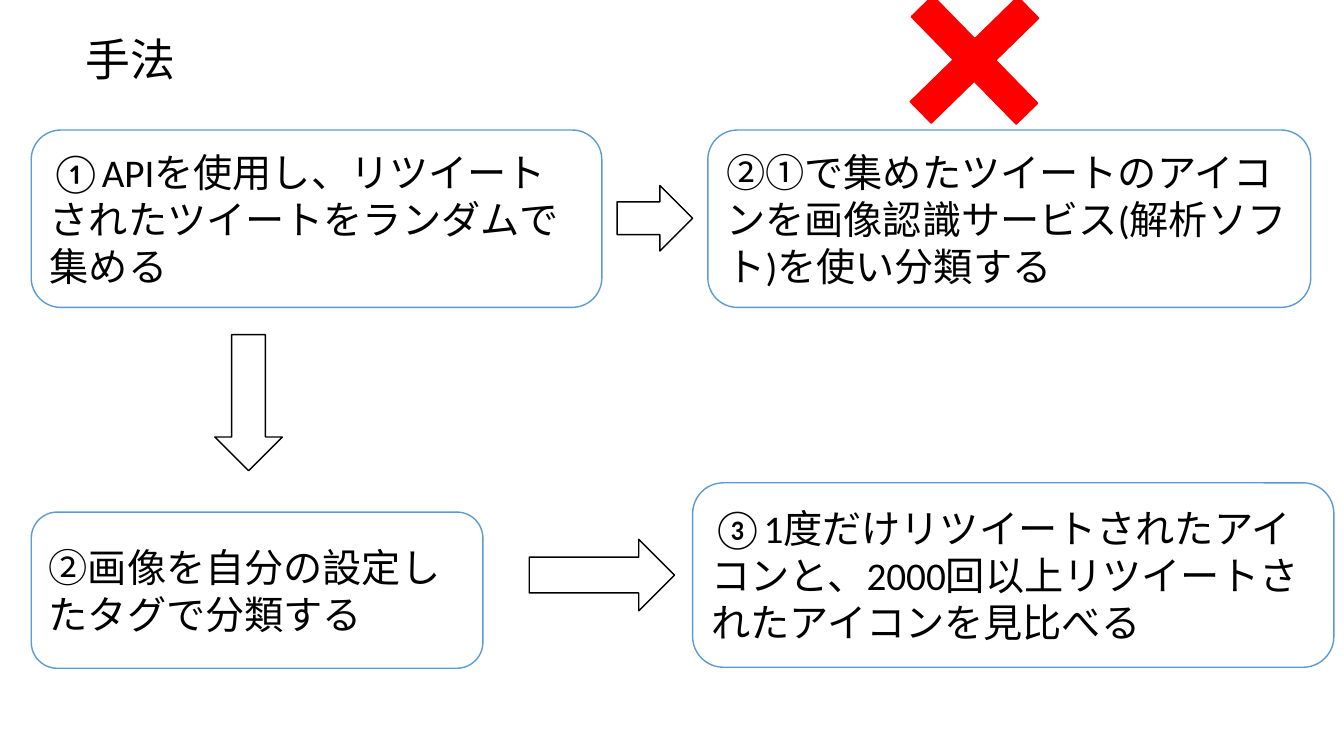
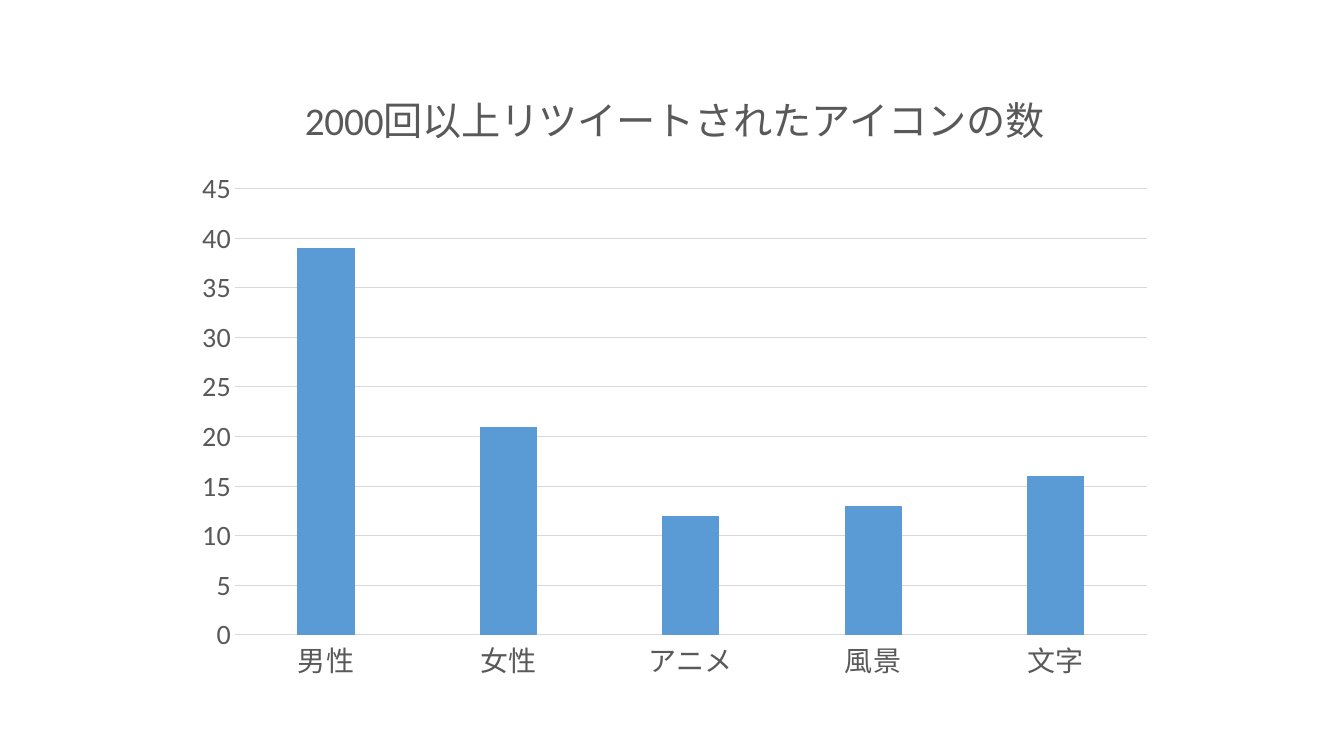
from pptx import Presentation
from pptx.chart.data import CategoryChartData
from pptx.dml.color import RGBColor
from pptx.enum import chart as charts, shapes, text
from pptx.util import Inches, Pt

COLORS = {
    "white": "FFFFFF",
    "black": "000000",
    "blue": "5B9BD5",
    "red": "FF0000",
    "gray": "595959",
    "grid": "D9D9D9",
}
FONT = "Calibri"


def style_font(font, size, color):
    font.name = FONT
    font.size = Pt(size)
    font.color.rgb = RGBColor.from_string(COLORS[color])


def add_figure(page, kind, bounds, fill, line):
    figure = page.shapes.add_shape(kind, *map(Inches, bounds))
    figure.shadow.inherit = False
    figure.fill.solid()
    figure.fill.fore_color.rgb = RGBColor.from_string(COLORS[fill])
    figure.line.color.rgb = RGBColor.from_string(COLORS[line])
    figure.line.width = Pt(1)
    return figure


deck = Presentation()
deck.slide_width = Inches(13.33)
deck.slide_height = Inches(7.5)
blank = deck.slide_layouts[6]

page = deck.slides.add_slide(blank)

steps = [
    ((0.31, 1.29, 5.66, 1.76), "①APIを使用し、リツイートされたツイートをランダムで集める"),
    ((7.02, 1.29, 5.98, 1.76), "②①で集めたツイートのアイコンを画像認識サービス(解析ソフト)を使い分類する"),
    ((6.87, 4.79, 6.36, 1.83), "③1度だけリツイートされたアイコンと、2000回以上リツイートされたアイコンを見比べる"),
    ((0.31, 5.08, 4.48, 1.55), "②画像を自分の設定したタグで分類する"),
]
for bounds, words in steps:
    box = add_figure(page, shapes.MSO_SHAPE.ROUNDED_RECTANGLE, bounds, "white", "blue")
    frame = box.text_frame
    frame.text = words
    frame.word_wrap = True
    frame.vertical_anchor = text.MSO_ANCHOR.MIDDLE
    para = frame.paragraphs[0]
    para.alignment = text.PP_ALIGN.LEFT
    style_font(para.runs[0].font, 28, "black")

arrows = [
    ((6.12, 1.84, 0.75, 0.65), 0),
    ((1.79, 3.66, 1.35, 0.67), 90),
    ((5.25, 5.35, 1.44, 0.71), 0),
]
for bounds, angle in arrows:
    arrow = add_figure(page, shapes.MSO_SHAPE.RIGHT_ARROW, bounds, "white", "black")
    arrow.rotation = angle

cross = add_figure(page, shapes.MSO_SHAPE.CROSS, (8.92, -0.15, 1.49, 1.49), "red", "red")
cross.adjustments[0] = 0.4
cross.rotation = 45.7

title = page.shapes.add_textbox(Inches(0.75), Inches(0.27), Inches(2.12), Inches(0.64))
title.text_frame.text = "手法"
title.text_frame.word_wrap = True
style_font(title.text_frame.paragraphs[0].runs[0].font, 32, "black")

page = deck.slides.add_slide(blank)

counts = CategoryChartData()
counts.categories = ["男性", "女性", "アニメ", "風景", "文字"]
counts.add_series("アイコンの数", [39, 21, 12, 13, 16])
chart = page.shapes.add_chart(
    charts.XL_CHART_TYPE.COLUMN_CLUSTERED,
    Inches(1.81), Inches(0.6), Inches(9.76), Inches(6.27), counts,
).chart
style_font(chart.font, 13, "black")
chart.has_legend = False
chart.has_title = True
chart.chart_title.include_in_layout = False
chart.chart_title.text_frame.text = "2000回以上リツイートされたアイコンの数"
heading = chart.chart_title.text_frame.paragraphs[0].runs[0].font
style_font(heading, 28, "gray")
heading.bold = False

for axis in (chart.category_axis, chart.value_axis):
    axis.major_tick_mark = charts.XL_TICK_MARK.NONE
    axis.minor_tick_mark = charts.XL_TICK_MARK.NONE
    style_font(axis.tick_labels.font, 20, "gray")

chart.value_axis.has_major_gridlines = True
chart.value_axis.minimum_scale = 0
chart.value_axis.maximum_scale = 45
chart.value_axis.major_unit = 5
chart.value_axis.format.line.fill.background()
for line in (chart.category_axis.format.line, chart.value_axis.major_gridlines.format.line):
    line.color.rgb = RGBColor.from_string(COLORS["grid"])
    line.width = Pt(0.75)

plot = chart.plots[0]
plot.vary_by_categories = False
plot.gap_width = 219
plot.overlap = -27
bars = plot.series[0].format.fill
bars.solid()
bars.fore_color.rgb = RGBColor.from_string(COLORS["blue"])

deck.save("out.pptx")
